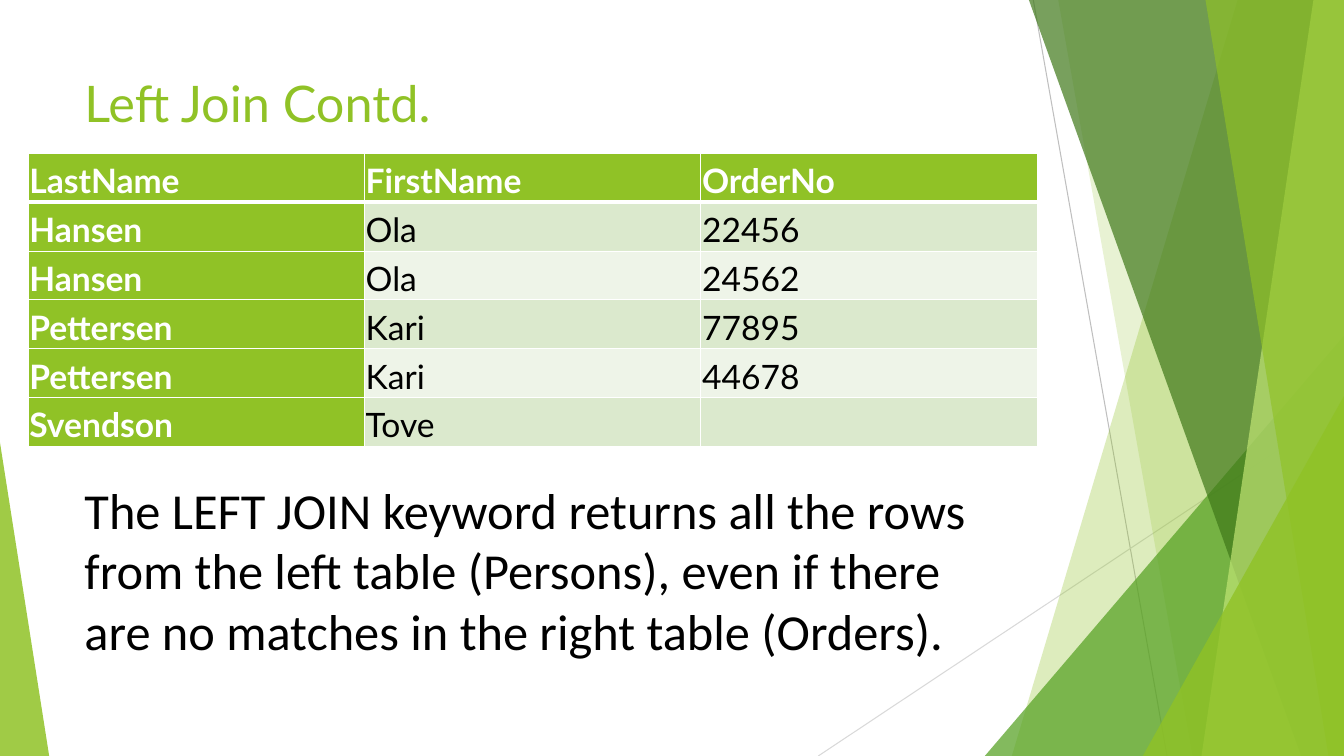
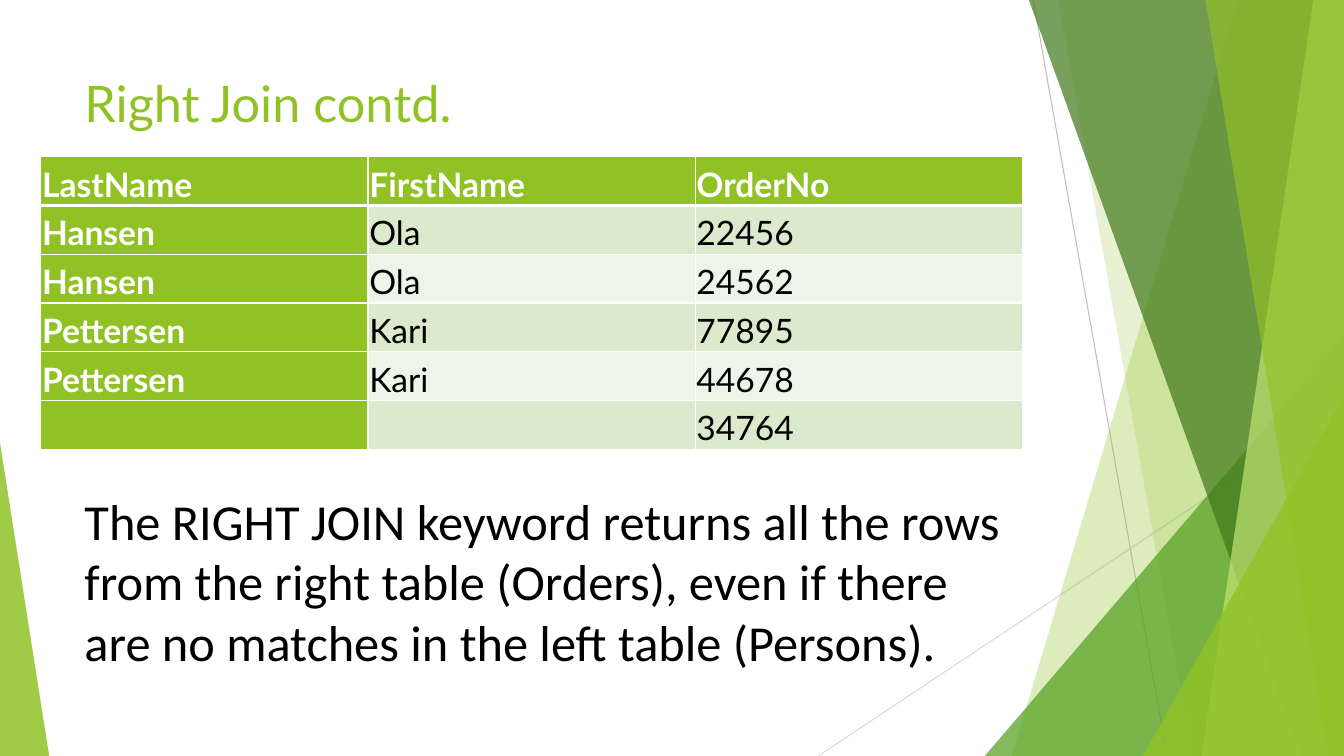
from pptx import Presentation
from pptx import util as u
from pptx.dml.color import RGBColor
from pptx.enum import shapes, text
from pptx.oxml import parse_xml
from pptx.oxml.ns import nsdecls, qn
from lxml import etree

WIDE, HIGH = 33.87, 19.05
LEFT, SPAN = 1.88, 23.88
ROW = 1.22
HUES = {
    "lime": "90C226", "leaf": "54A021", "moss": "3F7819", "pale": "C0E474",
    "odd": "DBE9CD", "even": "EEF4E8", "white": "FFFFFF", "black": "000000",
    "grey": "BFBFBF", "light": "D9D9D9",
}
LINES = [
    (26.04, 0, 29.41, HIGH, "grey"),
    (WIDE, 10.24, 20.62, HIGH, "light"),
]
BACK = [(31.19, 25.5, "lime", 30), (26.67, 30.05, "lime", 20)]
FRONT = [(25.93, 32.79, "moss", 70), (33.1, 30.28, "pale", 70),
         (30.38, 33.48, "lime", 65)]
HEAD = ["LastName", "FirstName", "OrderNo"]
SHARED = [
    ["Hansen", "Ola", "22456"],
    ["Hansen", "Ola", "24562"],
    ["Pettersen", "Kari", "77895"],
    ["Pettersen", "Kari", "44678"],
]


def color(name):
    return RGBColor.from_string(HUES[name])


def style(para, face, size, hue, bold=False):
    font = para.font
    font.name, font.size, font.bold = face, u.Pt(size), bold
    font.color.rgb = color(hue)


def paint(shape, hue, alpha):
    shape.shadow.inherit = False
    shape.fill.solid()
    shape.fill.fore_color.rgb = color(hue)
    shape.line.fill.background()
    tint = shape.element.spPr.find(".//" + qn("a:srgbClr"))
    etree.SubElement(tint, qn("a:alpha")).set("val", str(alpha * 1000))


def add_line(slide, x1, y1, x2, y2, hue):
    line = slide.shapes.add_connector(
        shapes.MSO_CONNECTOR.STRAIGHT, u.Cm(x1), u.Cm(y1), u.Cm(x2), u.Cm(y2))
    line.line.color.rgb = color(hue)
    line.line.width = u.Pt(0.75)
    etree.SubElement(line.element.spPr, qn("a:effectLst"))


def add_band(slide, top, base, hue, alpha):
    pen = slide.shapes.build_freeform(u.Cm(top), 0)
    pen.add_line_segments([
        (u.Cm(WIDE), 0), (u.Cm(WIDE), u.Cm(HIGH)), (u.Cm(base), u.Cm(HIGH))])
    paint(pen.convert_to_shape(), hue, alpha)


def add_peak(slide, left, top, width, tip, hue, alpha):
    peak = slide.shapes.add_shape(
        shapes.MSO_SHAPE.ISOSCELES_TRIANGLE,
        u.Cm(left), u.Cm(top), u.Cm(width), u.Cm(HIGH - top))
    peak.adjustments[0] = tip
    paint(peak, hue, alpha)


def add_decor(slide):
    for line in LINES:
        add_line(slide, *line)
    for band in BACK:
        add_band(slide, *band)
    add_peak(slide, 24.82, 8.46, WIDE - 24.82, 1, "leaf", 72)
    for band in FRONT:
        add_band(slide, *band)
    add_peak(slide, 28.8, 9.98, WIDE - 28.8, 1, "lime", 80)
    add_peak(slide, 0, 11.15, 1.24, 0, "lime", 85)


def add_text(slide, words, top, height, face, hue):
    box = slide.shapes.add_textbox(
        u.Cm(LEFT), u.Cm(top), u.Cm(SPAN), u.Cm(height))
    frame = box.text_frame
    frame.word_wrap = True
    frame.text = words
    style(frame.paragraphs[0], face, 36, hue)


def add_edges(cell, row):
    sizes = {"L": 1, "R": 1, "T": 3 if row == 1 else 1,
             "B": 3 if row == 0 else 1}
    for spot, (side, size) in enumerate(sizes.items()):
        edge = parse_xml(
            f'<a:ln{side} {nsdecls("a")} w="{u.Pt(size)}"><a:solidFill>'
            f'<a:srgbClr val="{HUES["white"]}"/></a:solidFill></a:ln{side}>')
        cell._tc.get_or_add_tcPr().insert(spot, edge)


def fill_cell(cell, words, row, col):
    strong = row == 0 or col == 0
    cell.margin_left = cell.margin_right = u.Cm(0.03)
    cell.margin_top = cell.margin_bottom = u.Cm(0.03)
    cell.vertical_anchor = text.MSO_ANCHOR.MIDDLE
    cell.fill.solid()
    shade = "lime" if strong else "odd" if row % 2 else "even"
    cell.fill.fore_color.rgb = color(shade)
    cell.text = words
    para = cell.text_frame.paragraphs[0]
    para.line_spacing = 1.15
    style(para, "Lato", 24, "white" if strong else "black", strong)
    add_edges(cell, row)


def add_grid(slide, rows, left, top, width):
    frame = slide.shapes.add_table(
        len(rows), len(HEAD), u.Cm(left), u.Cm(top),
        u.Cm(width), u.Cm(ROW * len(rows)))
    grid = frame.table
    grid.horz_banding = False
    grid.first_col = True
    for r, row in enumerate(rows):
        for c, words in enumerate(row):
            fill_cell(grid.cell(r, c), words, r, c)


def add_join(deck, title, last, place, note, top):
    slide = deck.slides.add_slide(deck.slide_layouts[6])
    add_decor(slide)
    add_text(slide, title, 1.7, 2, "Lato", "lime")
    add_grid(slide, [HEAD, *SHARED, last], *place)
    add_text(slide, note, top, 4.88, "Calibri", "black")


def main():
    deck = Presentation()
    deck.slide_width, deck.slide_height = u.Cm(WIDE), u.Cm(HIGH)
    add_join(
        deck, "Left Join Contd.", ["Svendson", "Tove", ""],
        (0.71, 3.87, 25.43),
        "The LEFT JOIN keyword returns all the rows from the left table "
        "(Persons), even if there are no matches in the right table (Orders).",
        11.94)
    add_join(
        deck, "Right Join contd.", ["", "", "34764"],
        (1.03, 3.95, 24.74),
        "The RIGHT JOIN keyword returns all the rows from the right table "
        "(Orders), even if there are no matches in the left table (Persons).",
        12.22)
    deck.save("out.pptx")


if __name__ == "__main__":
    main()
